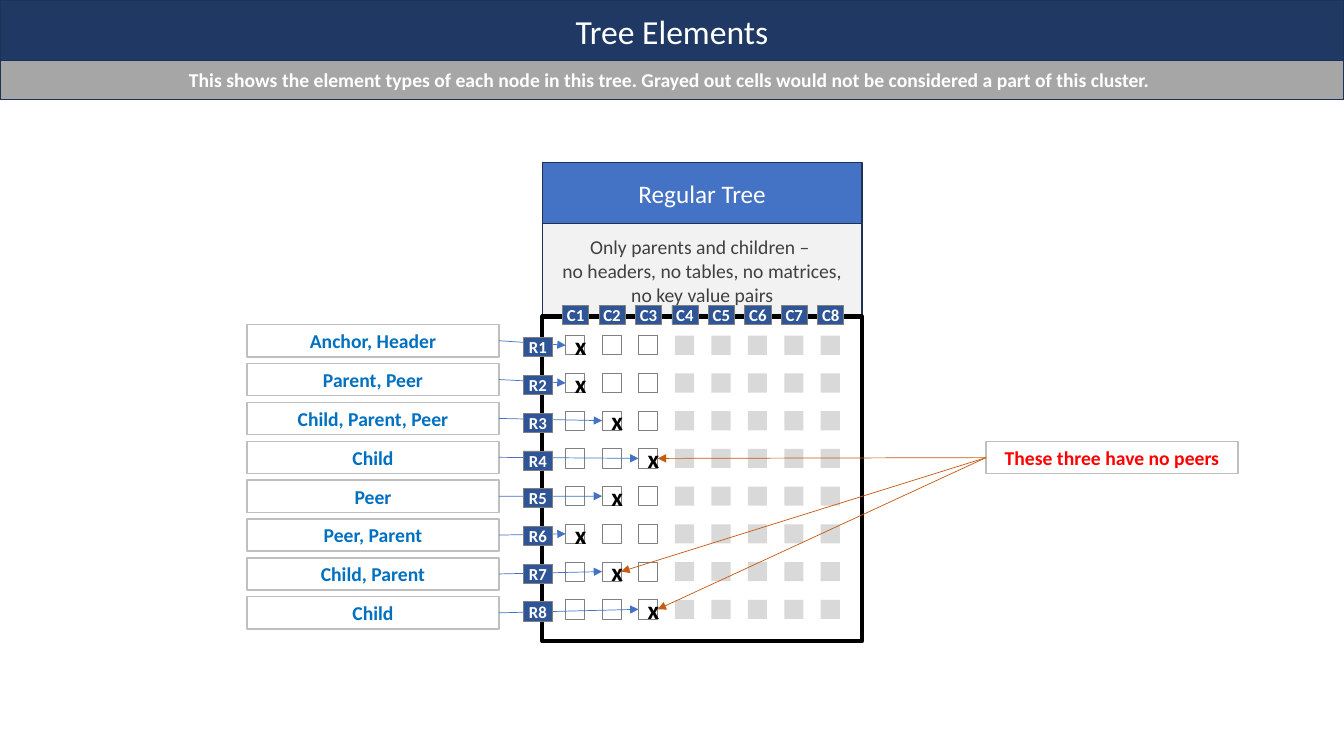
from lxml import etree
from pptx import Presentation
from pptx import util as u
from pptx.dml import color
from pptx.enum import shapes, text
from pptx.oxml import ns


def rgb(value):
    return color.RGBColor.from_string(value)


class Deck:
    FONT = "Calibri"
    LEFT, RIGHT = 1, 3

    def __init__(self, width, height):
        self.prs = Presentation()
        self.prs.slide_width = u.Inches(width)
        self.prs.slide_height = u.Inches(height)
        self.s = self.prs.slides.add_slide(self.prs.slide_layouts[6])

    def box(self, x, y, w, h, fill=None, line=None, weight=1):
        sp = self.s.shapes.add_shape(
            shapes.MSO_SHAPE.RECTANGLE,
            u.Inches(x), u.Inches(y), u.Inches(w), u.Inches(h))
        sp.shadow.inherit = False
        if fill:
            sp.fill.solid()
            sp.fill.fore_color.rgb = rgb(fill)
        else:
            sp.fill.background()
        if line:
            sp.line.color.rgb = rgb(line)
            sp.line.width = u.Pt(weight)
        else:
            sp.line.fill.background()
        return sp

    def caption(self, sp, words, size, ink, bold=False, wrap=True):
        tf = sp.text_frame
        tf.word_wrap = wrap
        tf.vertical_anchor = text.MSO_ANCHOR.MIDDLE
        tf.text = words
        for p in tf.paragraphs:
            p.alignment = text.PP_ALIGN.CENTER
            p.font.name = self.FONT
            p.font.size = u.Pt(size)
            p.font.bold = bold
            p.font.color.rgb = rgb(ink)

    def label(self, x, y, words, ink):
        sp = self.box(x, y, 2.5, 0.32, line="BFBFBF")
        self.caption(sp, words, 14, ink, bold=True)
        return sp

    def badge(self, x, y, w, words):
        sp = self.box(x, y, w, 0.19, "2F5597", "808080", 0.5)
        self.caption(sp, words, 12, "FFFFFF", bold=True, wrap=False)

    def arrow(self, start, start_side, end, end_side, ink):
        c = self.s.shapes.add_connector(shapes.MSO_CONNECTOR.STRAIGHT, 0, 0, 0, 0)
        c.begin_connect(start, start_side)
        c.end_connect(end, end_side)
        c.line.color.rgb = rgb(ink)
        c.line.width = u.Pt(0.5)
        props = c.element.spPr
        etree.SubElement(props.find(ns.qn("a:ln")), ns.qn("a:tailEnd"), type="triangle")
        etree.SubElement(props, ns.qn("a:effectLst"))


# Element types and marked column of each tree row
NODES = [
    ("Anchor, Header", 0),
    ("Parent, Peer", 0),
    ("Child, Parent, Peer", 1),
    ("Child", 2),
    ("Peer", 1),
    ("Peer, Parent", 0),
    ("Child, Parent", 1),
    ("Child", 2),
]
NO_PEERS = (3, 6, 7)
COLUMNS, CLUSTER_COLUMNS = 8, 3
CELL = 0.19
GRID_X, GRID_Y = 5.61, 3.33
COLUMN_STEP, ROW_STEP, LABEL_STEP = 2.53 / 7, 2.62 / 7, 2.7 / 7
NAVY_EDGE = "1E3256"


def main():
    deck = Deck(13.33, 7.5)

    # Tree heading and description
    summary = deck.box(5.38, 2.22, 3.17, 0.93, "F2F2F2", NAVY_EDGE)
    deck.caption(summary, "Only parents and children – \n"
                 "no headers, no tables, no matrices, no key value pairs", 14, "404040")
    heading = deck.box(5.38, 1.61, 3.17, 0.61, "4472C4", NAVY_EDGE)
    deck.caption(heading, "Regular Tree", 18, "FFFFFF")

    # Cell grid, with an x in each node's cell
    node_cells = []
    for row, (_, marked) in enumerate(NODES):
        for col in range(COLUMNS):
            fill, line = ("FFFFFF", "808080") if col < CLUSTER_COLUMNS else ("D9D9D9", None)
            cell = deck.box(GRID_X + col * COLUMN_STEP, GRID_Y + row * ROW_STEP,
                            CELL, CELL, fill, line, 0.5)
            if col == marked:
                deck.caption(cell, "x", 18, "000000", bold=True)
                node_cells.append(cell)
    deck.box(5.38, 3.14, 3.17, 3.22, line="000000", weight=3)

    # Element type labels pointing at their nodes
    for row, (types, _) in enumerate(NODES):
        label = deck.label(2.45, 3.22 + row * LABEL_STEP, types, "0070C0")
        deck.arrow(label, deck.RIGHT, node_cells[row], deck.LEFT, "4472C4")

    # Title bars
    title = deck.box(0, 0, 13.33, 0.61, "203864", NAVY_EDGE)
    deck.caption(title, "Tree Elements", 24, "FFFFFF")
    subtitle = deck.box(0, 0.6, 13.33, 0.39, "A6A6A6", NAVY_EDGE)
    deck.caption(subtitle, "This shows the element types of each node in this tree. "
                 "Grayed out cells would not be considered a part of this cluster. ",
                 14, "FFFFFF", bold=True)

    # Callout for the nodes without peers
    callout = deck.label(9.78, 4.38, "These three have no peers", "FF0000")
    for row in NO_PEERS:
        deck.arrow(callout, deck.LEFT, node_cells[row], deck.RIGHT, "C55A11")

    # Column and row badges
    for col in range(COLUMNS):
        deck.badge(5.58 + col * COLUMN_STEP, 3.03, 0.26, f"C{col + 1}")
    for row in range(len(NODES)):
        deck.badge(5.19, 3.35 + row * ROW_STEP, 0.29, f"R{row + 1}")

    deck.prs.save("out.pptx")


if __name__ == "__main__":
    main()
